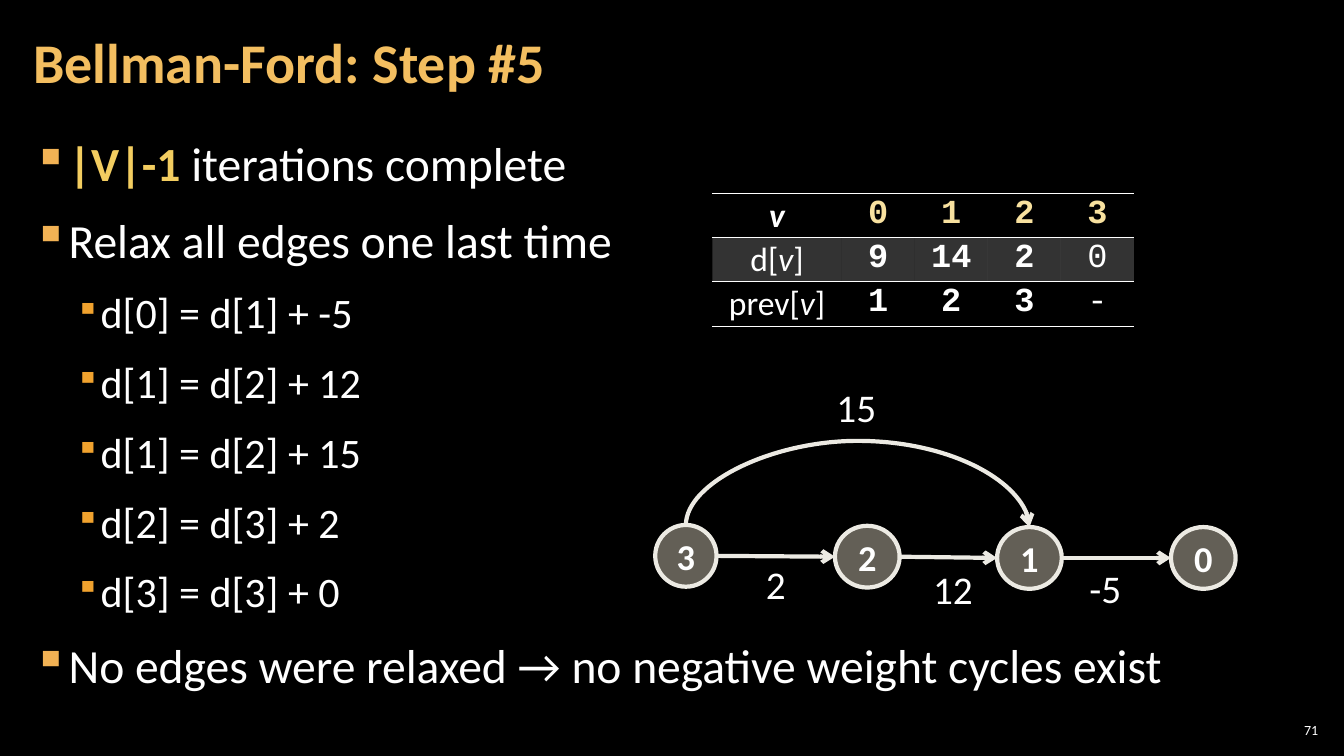
from dataclasses import dataclass
from itertools import pairwise
from lxml.etree import SubElement as Sub
from pptx import Presentation
from pptx.dml.color import RGBColor as RGB
from pptx.enum.shapes import MSO_CONNECTOR as LINK, MSO_SHAPE as SHAPE
from pptx.enum.text import MSO_ANCHOR as ANCHOR, PP_ALIGN as ALIGN
from pptx.oxml.ns import qn
from pptx.util import Emu, Inches, Pt


@dataclass(frozen=True)
class Theme:
    sans: str = "Calibri"
    mono: str = "Courier New"
    back: str = "000000"
    ink: str = "FFFFFF"
    title: str = "F3BE60"
    key: str = "F3CD60"
    head: str = "F8E19F"
    node: str = "C7BFAC"
    edge: str = "ECEAE3"
    dots: tuple = ("F2B254", "F0A22E")
    body: tuple = (34, 30)
    big: int = 40
    label: int = 28
    name: int = 26
    cell: int = 24
    small: int = 10


T = Theme()
WIDE, HIGH = Inches(13.33), Inches(7.5)
COLS, ROWS = 160, 90
PLAIN = "{2D5ABB26-0587-4C30-8999-92F81FD0307C}"

STEPS = [
    (0, "|V|-1", " iterations complete"),
    (0, "", "Relax all edges one last time"),
    (1, "", "d[0] = d[1] + -5"),
    (1, "", "d[1] = d[2] + 12"),
    (1, "", "d[1] = d[2] + 15"),
    (1, "", "d[2] = d[3] + 2"),
    (1, "", "d[3] = d[3] + 0"),
    (0, "", "No edges were relaxed → no negative weight cycles exist"),
]
TABLE = [("", "", "0123"), ("d[", "]", ("9", "14", "2", "0")), ("prev[", "]", "123-")]
# name, left, top, width in grid cells of the graph's box
NODES = [("3", 0, 17.5, 7.3), ("2", 21.4, 17.6, 7.7),
         ("1", 40.7, 17.75, 7.7), ("0", 61.4, 17.75, 7.7)]
WEIGHTS = [("2", 12, 21.1), ("12", 31.9, 21.7), ("-5", 50.5, 21.6), ("15", 20.4, 0)]


def col(n):
    return Emu(int(WIDE * n / COLS))


def row(n):
    return Emu(int(HIGH * n / ROWS))


def place(x, y, w, h):
    return col(x), row(y), col(w), row(h)


def style(font, size, color=T.ink, bold=False, face=T.sans):
    font.name, font.size, font.bold = face, Pt(size), bold
    font.color.rgb = RGB.from_string(color)


def inset(frame, x, y):
    frame.margin_left = frame.margin_right = Inches(x)
    frame.margin_top = frame.margin_bottom = Inches(y)


def write(slide, box, text, size, color=T.ink, bold=False, pad=(0.1, 0.05),
          anchor=ANCHOR.TOP, align=ALIGN.LEFT):
    frame = slide.shapes.add_textbox(*place(*box)).text_frame
    frame.word_wrap, frame.vertical_anchor = True, anchor
    inset(frame, *pad)
    para = frame.paragraphs[0]
    para.text, para.alignment = text, align
    style(para.font, size, color, bold)
    return para


def fade(fill, color, share):
    fill.solid()
    fill.fore_color.rgb = RGB.from_string(color)
    tone = fill._xPr.find(qn("a:solidFill"))[0]
    Sub(tone, qn("a:alpha"), val=str(share * 1000))


def bullet(para, level):
    prop = para._p.get_or_add_pPr()
    prop.set("marL", str(Inches((0.33, 0.67)[level])))
    prop.set("indent", str(-Inches((0.33, 0.25)[level])))
    Sub(Sub(prop, qn("a:buClr")), qn("a:srgbClr"), val=T.dots[level])
    Sub(prop, qn("a:buSzPct"), val=("100000", "80000")[level])
    Sub(prop, qn("a:buChar"), char="▪")


def outline(slide, box):
    frame = slide.shapes.add_textbox(*place(*box)).text_frame
    frame.word_wrap = True
    inset(frame, 0.12, 0.04)
    for i, (level, key, text) in enumerate(STEPS):
        para = frame.paragraphs[0] if i == 0 else frame.add_paragraph()
        para.level = level
        bullet(para, level)
        para.line_spacing, para.space_after = 1.05, Pt(6)
        para.space_before = Pt(6 if i else 0)
        style(para.font, T.body[level])
        if key:
            run = para.add_run()
            run.text = key
            style(run.font, T.body[level], T.key, True)
        para.add_run().text = text


def rule(cell):
    """Draw the cell's top and bottom border only."""
    prop = cell._tc.get_or_add_tcPr()
    for side in "LRTB":
        line = Sub(prop, qn(f"a:ln{side}"), w=str(Pt(1)))
        if side in "LR":
            Sub(line, qn("a:noFill"))
        else:
            Sub(Sub(line, qn("a:solidFill")), qn("a:srgbClr"), val=T.ink)


def costs(slide, box):
    x, y, w, h = box
    table = slide.shapes.add_table(3, 5, *place(*box)).table
    table._tbl.tblPr.find(qn("a:tableStyleId")).text = PLAIN
    table.first_row = table.horz_banding = False
    first = 15.4
    for i, column in enumerate(table.columns):
        column.width = col((w - first) / 4 if i else first)
    for r, (pre, post, values) in enumerate(TABLE):
        table.rows[r].height = row(h / 3)
        for c, cell in enumerate(table.rows[r].cells):
            rule(cell)
            if r == 1:
                fade(cell.fill, T.ink, 20)
            else:
                cell.fill.background()
            inset(cell, 0.04, 0.02)
            para = cell.text_frame.paragraphs[0]
            para.alignment = ALIGN.CENTER
            if c:
                para.text = values[c - 1]
                style(para.font, T.cell, T.ink if r else T.head, r == 0 or c < 4, T.mono)
            else:
                style(para.font, T.cell, bold=r == 0)
                for part in filter(None, (pre, "v", post)):
                    run = para.add_run()
                    run.text, run.font.italic = part, part == "v"


def arrow(slide, kind, start, end):
    link = slide.shapes.add_connector(kind, *start, *end)
    link.line.width = Pt(3)
    link.line.color.rgb = RGB.from_string(T.edge)
    Sub(link.line._get_or_add_ln(), qn("a:tailEnd"), type="arrow")
    Sub(link._element.spPr, qn("a:effectLst"))
    return link


def arc(slide, start, end, rise):
    """Bend an arrow over the nodes, from top to top."""
    tops = [(n.left + n.width // 2, n.top) for n in (start, end)]
    link = arrow(slide, LINK.CURVE, *tops)
    link.begin_connect(start, 0)
    link.end_connect(end, 0)
    (ax, ay), (bx, by) = tops
    span, drop = bx - ax, by - ay
    link.left, link.top = (ax + bx - drop) // 2, (ay + by - span) // 2
    link.width, link.height = drop, span
    frame = link._element.spPr.find(qn("a:xfrm"))
    for flip in ("flipH", "flipV"):
        frame.attrib.pop(flip, None)
    frame.set("rot", str(270 * 60000))
    frame.set("flipH", "1")
    bend = link._element.spPr.find(qn("a:prstGeom")).find(qn("a:avLst"))
    Sub(bend, qn("a:gd"), name="adj1", fmla=f"val {-round(rise / drop * 100000)}")


def graph(slide, box):
    x, y, w, h = box
    nodes = []
    for name, dx, dy, wide in NODES:
        node = slide.shapes.add_shape(SHAPE.OVAL, *place(x + dx, y + dy, wide, 7.35))
        node.shadow.inherit = False
        fade(node.fill, T.node, 50)
        node.line.color.rgb, node.line.width = RGB.from_string(T.edge), Pt(3)
        frame = node.text_frame
        frame.vertical_anchor = ANCHOR.MIDDLE
        inset(frame, 0.04, 0.05)
        para = frame.paragraphs[0]
        para.text, para.alignment = name, ALIGN.CENTER
        style(para.font, T.name, bold=True)
        nodes.append(node)
    for a, b in pairwise(nodes):
        arrow(slide, LINK.STRAIGHT, (a.left + a.width, a.top + a.height // 2),
              (b.left, b.top + b.height // 2))
    arc(slide, nodes[0], nodes[2], row(10))
    for text, dx, dy in WEIGHTS:
        write(slide, (x + dx, y + dy, 7.8, 6.8), text, T.label)


def main():
    deck = Presentation()
    deck.slide_width, deck.slide_height = WIDE, HIGH
    slide = deck.slides.add_slide(deck.slide_layouts[6])
    slide.background.fill.solid()
    slide.background.fill.fore_color.rgb = RGB.from_string(T.back)
    title = write(slide, (2.5, 0.5, 125.6, 14.5), "Bellman-Ford: Step #5", T.big, T.title,
                  True, (0.12, 0.04), ANCHOR.MIDDLE)
    title.line_spacing = 0.9
    outline(slide, (2.5, 15.1, 154.9, 73.1))
    costs(slide, (84.8, 23, 50.2, 15.8))
    graph(slide, (78, 45, 69.1, 28.5))
    write(slide, (151.8, 85.7, 5.6, 2.5), "71", T.small, pad=(0.04, 0.04),
          anchor=ANCHOR.MIDDLE, align=ALIGN.RIGHT)
    deck.save("out.pptx")


if __name__ == "__main__":
    main()
